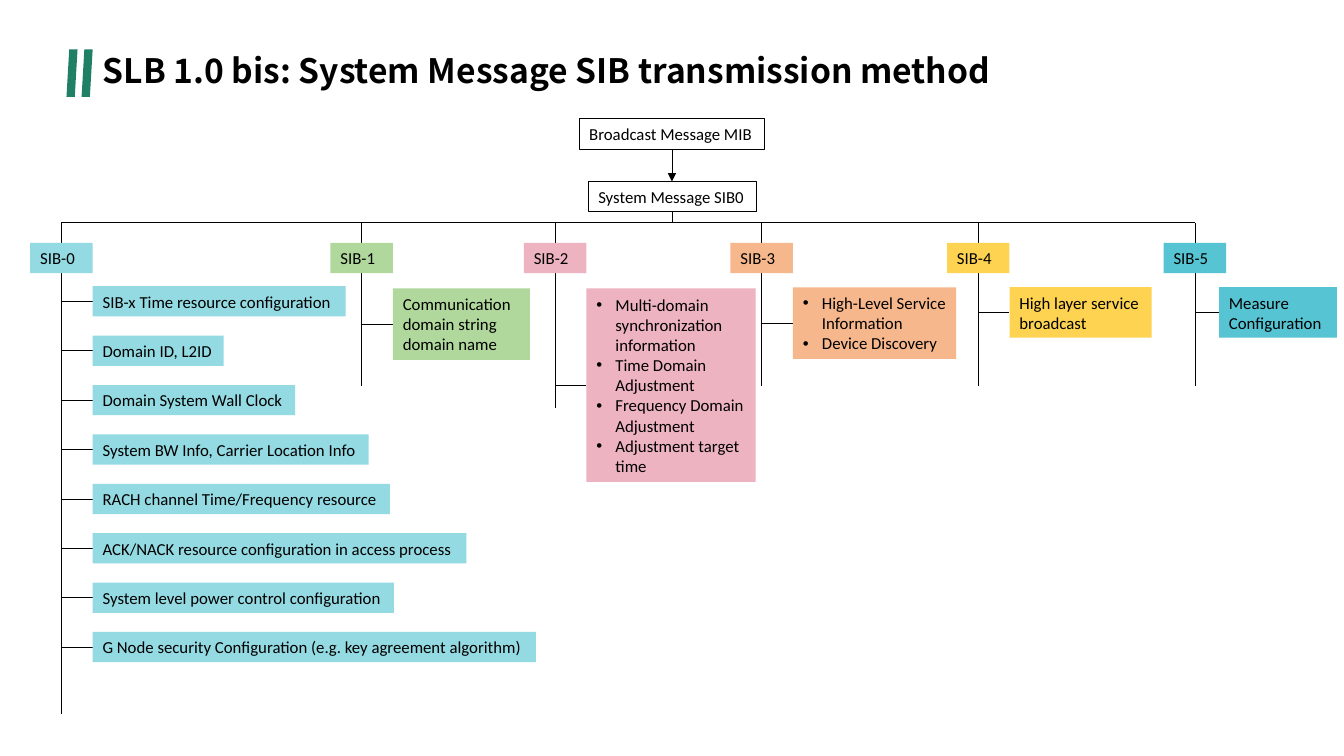
import pptx
import pptx.util
import pptx.dml.color
import pptx.enum.shapes
import pptx.enum.text
import lxml.etree

Inches = pptx.util.Inches
Pt = pptx.util.Pt
Shape = pptx.enum.shapes.MSO_SHAPE
hex_color = pptx.dml.color.RGBColor.from_string
DRAWING = "{http://schemas.openxmlformats.org/drawingml/2006/main}"


def write(frame, text, size=12, font="Calibri", bold=False, bullet=False, spacing=1.0):
    frame.word_wrap = True
    frame.auto_size = pptx.enum.text.MSO_AUTO_SIZE.NONE
    frame.vertical_anchor = pptx.enum.text.MSO_ANCHOR.MIDDLE
    frame.text = text
    for paragraph in frame.paragraphs:
        paragraph.alignment = pptx.enum.text.PP_ALIGN.LEFT
        paragraph.line_spacing = spacing
        paragraph.font.size = Pt(size)
        paragraph.font.bold = bold
        for run in paragraph.runs:
            run.font.name = font
            run.font.size = Pt(size)
            run.font.bold = bold
            run.font.color.rgb = hex_color("000000")
        if bullet:
            properties = paragraph._p.get_or_add_pPr()
            properties.set("marL", str(Inches(0.19)))
            properties.set("indent", str(-Inches(0.19)))
            mark_font = lxml.etree.Element(DRAWING + "buFont", typeface="Arial")
            mark = lxml.etree.Element(DRAWING + "buChar", char="•")
            for offset, element in enumerate((mark_font, mark)):
                properties.insert(1 + offset, element)


def connect(x1, y1, x2, y2, arrow=False):
    link = slide.shapes.add_connector(
        pptx.enum.shapes.MSO_CONNECTOR.STRAIGHT, Inches(x1), Inches(y1), Inches(x2), Inches(y2))
    link.line.color.rgb = hex_color("000000")
    link.line.width = Pt(0.5)
    if arrow:
        lxml.etree.SubElement(link.line._get_or_add_ln(), DRAWING + "tailEnd", type="triangle")
    lxml.etree.SubElement(link._element.spPr, DRAWING + "effectLst")


deck = pptx.Presentation()
deck.slide_width, deck.slide_height = Inches(13.34), Inches(7.5)
slide = deck.slides.add_slide(deck.slide_layouts[5])

title = slide.shapes.title
title.left, title.top, title.width, title.height = map(Inches, (0.92, 0.45, 11.5, 0.54))
write(title.text_frame, "SLB 1.0 bis: System Message SIB transmission method",
      size=24, font="Noto Sans CJK SC", bold=True, spacing=0.9)

for accent_left in (0.66, 0.81):
    accent = slide.shapes.add_shape(
        Shape.PARALLELOGRAM, Inches(accent_left), Inches(0.49), Inches(0.11), Inches(0.47))
    accent.shadow.inherit = False
    accent.fill.solid()
    accent.fill.fore_color.rgb = hex_color("1F8066")
    accent.line.fill.background()

row_height = 0.3
center = 6.67
bus_y = 2.21
label_top = 2.41
label_bottom = label_top + row_height
label_width = 0.62

sib0_fields = [
    ("SIB-x Time resource configuration", 2.51),
    ("Domain ID, L2ID", 1.3),
    ("Domain System Wall Clock", 2.01),
    ("System BW Info, Carrier Location Info", 2.74),
    ("RACH channel Time/Frequency resource", 2.95),
    ("ACK/NACK resource configuration in access process", 3.71),
    ("System level power control configuration", 2.99),
    ("G Node security Configuration (e.g. key agreement algorithm)", 4.4),
]
sib0_details = [(text, 0.92, 2.84 + 0.49 * row, width, row_height)
                for row, (text, width) in enumerate(sib0_fields)]

synchronization = "\n".join([
    "Multi-domain synchronization information", "Time Domain Adjustment",
    "Frequency Domain Adjustment", "Adjustment target time"])
service = "High-Level Service Information\nDevice Discovery"

branches = [
    (0.61, 7.08, "94DAE2", sib0_details),
    (3.59, 3.83, "B0D89C", [("Communication domain string domain name", 3.9, 2.86, 1.36, 0.71)]),
    (5.51, 4.05, "EEB3C1", [(synchronization, 5.82, 2.86, 1.68, 1.92)]),
    (7.56, 3.83, "F6B78C", [(service, 7.87, 2.85, 1.62, 0.71)]),
    (9.71, 3.83, "FDD351", [("High layer service broadcast", 10.02, 2.85, 1.41, 0.5)]),
    (11.86, 3.83, "56C4D2", [("Measure Configuration", 12.1, 2.85, 1.17, 0.5)]),
]

boxes = [
    ("Broadcast Message MIB", 5.75, 1.18, 1.84, row_height, None),
    ("System Message SIB0", 5.84, 1.8, 1.67, row_height, None),
]
connect(center, 1.48, center, 1.8, arrow=True)
connect(center, 2.1, center, bus_y)
connect(branches[0][0], bus_y, branches[-1][0], bus_y)

for number, (trunk, trunk_bottom, color, details) in enumerate(branches):
    connect(trunk, bus_y, trunk, label_top)
    connect(trunk, label_bottom, trunk, trunk_bottom)
    boxes.append((f"SIB-{number}", trunk - label_width / 2, label_top, label_width, row_height, color))
    for text, left, top, width, height in details:
        connect(trunk, top + height / 2, left, top + height / 2)
        boxes.append((text, left, top, width, height, color))

for text, left, top, width, height, color in boxes:
    message = slide.shapes.add_shape(
        Shape.RECTANGLE, Inches(left), Inches(top), Inches(width), Inches(height))
    message.shadow.inherit = False
    if color:
        message.fill.solid()
        message.fill.fore_color.rgb = hex_color(color)
        message.line.fill.background()
    else:
        message.fill.background()
        message.line.color.rgb = hex_color("000000")
        message.line.width = Pt(0.75)
    write(message.text_frame, text, bullet="\n" in text)

deck.save("out.pptx")
